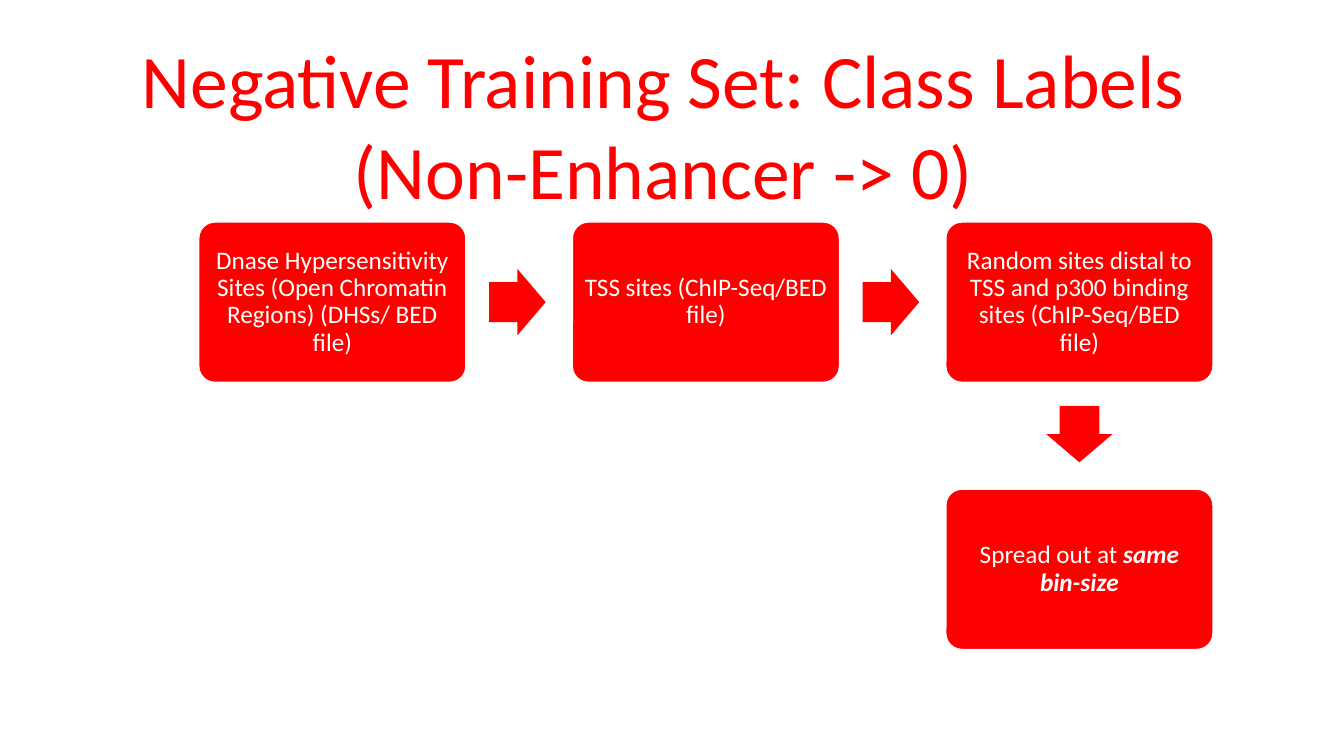
from pptx import Presentation
from pptx.dml.color import RGBColor
from pptx.enum.shapes import MSO_SHAPE
from pptx.enum.text import MSO_ANCHOR, MSO_AUTO_SIZE, PP_ALIGN
from pptx.util import Pt

RED, WHITE = "FF0000", "FFFFFF"
FONT = "Calibri"

STEP_WIDTH, STEP_HEIGHT = 190.8, 114.5
COLUMN_PITCH, ROW_PITCH = 266.8, 190.8
ARROW_LENGTH, ARROW_BREADTH = 40.4, 47.4
ARROW_SHIFT = -1.2  # arrows sit slightly before the middle of the gap

# Column, row and text spans (text, emphasised) of each step
STEPS = [
    (0, 0, [("Dnase Hypersensitivity Sites (Open Chromatin Regions) (DHSs/ BED file)", False)]),
    (1, 0, [("TSS sites (ChIP-Seq/BED file)", False)]),
    (2, 0, [("Random sites distal to TSS and p300 binding sites (ChIP-Seq/BED file)", False)]),
    (2, 1, [("Spread out at ", False), ("same bin-size", True)]),
]


def color(value):
    return RGBColor.from_string(value)


def write(frame, paragraphs, size, ink, anchor, margins=None, spacing=1.0, after=0):
    """Fill a text frame with centred paragraphs, each a list of spans."""
    frame.vertical_anchor = anchor
    if margins is not None:
        frame.margin_left = frame.margin_right = Pt(margins)
        frame.margin_top = frame.margin_bottom = Pt(margins)
    for index, spans in enumerate(paragraphs):
        para = frame.add_paragraph() if index else frame.paragraphs[0]
        para.alignment = PP_ALIGN.CENTER
        para.line_spacing = spacing
        para.space_before, para.space_after = Pt(0), Pt(after)
        for text, emphasised in spans:
            span = para.add_run()
            span.text = text
            span.font.name, span.font.size = FONT, Pt(size)
            span.font.color.rgb = color(ink)
            if emphasised:
                span.font.bold = span.font.italic = True


def add_red_shape(page, kind, left, top, width, height, adjustments):
    shape = page.shapes.add_shape(kind, Pt(left), Pt(top), Pt(width), Pt(height))
    for index, value in enumerate(adjustments):
        shape.adjustments[index] = value
    shape.shadow.inherit = False
    shape.fill.solid()
    shape.fill.fore_color.rgb = color(RED)
    shape.line.fill.background()
    return shape


def add_title(page, left, top, width, height):
    title = page.shapes.title
    title.left, title.top = Pt(left), Pt(top)
    title.width, title.height = Pt(width), Pt(height)
    frame = title.text_frame
    frame.word_wrap = False
    frame.auto_size = MSO_AUTO_SIZE.SHAPE_TO_FIT_TEXT
    write(frame, [[("Negative Training Set: Class Labels ", False)],
                  [("(Non-Enhancer -> 0) ", False)]], 54, RED, MSO_ANCHOR.TOP)


def add_step(page, left, top, spans):
    box = add_red_shape(page, MSO_SHAPE.ROUNDED_RECTANGLE, left, top,
                        STEP_WIDTH, STEP_HEIGHT, [0.1])
    box.line.color.rgb = color(WHITE)
    box.line.width = Pt(1)
    box.text_frame.word_wrap = True
    write(box.text_frame, [spans], 18, WHITE, MSO_ANCHOR.MIDDLE,
          margins=5, spacing=0.9, after=6.3)


def add_arrow(page, center_x, center_y, rotation):
    arrow = add_red_shape(page, MSO_SHAPE.RIGHT_ARROW, center_x - ARROW_LENGTH / 2,
                          center_y - ARROW_BREADTH / 2, ARROW_LENGTH, ARROW_BREADTH,
                          [0.6, 0.5])
    arrow.rotation = rotation


def add_flow(page, left, top):
    """Place the steps on their grid, with an arrow between neighbours."""
    previous = None
    for column, row, spans in STEPS:
        step_left, step_top = left + column * COLUMN_PITCH, top + row * ROW_PITCH
        center_x, center_y = step_left + STEP_WIDTH / 2, step_top + STEP_HEIGHT / 2
        if previous:
            goes_down = row > previous[2]
            middle_x = (center_x + previous[0]) / 2 + (0 if goes_down else ARROW_SHIFT)
            middle_y = (center_y + previous[1]) / 2 + (ARROW_SHIFT if goes_down else 0)
            add_arrow(page, middle_x, middle_y, 90 if goes_down else 0)
        add_step(page, step_left, step_top, spans)
        previous = (center_x, center_y, row)


def main():
    deck = Presentation()
    deck.slide_width, deck.slide_height = Pt(960), Pt(540)
    page = deck.slides.add_slide(deck.slide_layouts[5])
    add_title(page, 90, 20, 780, 138.4)
    add_flow(page, 142, 158.6)
    deck.save("out.pptx")


if __name__ == "__main__":
    main()
